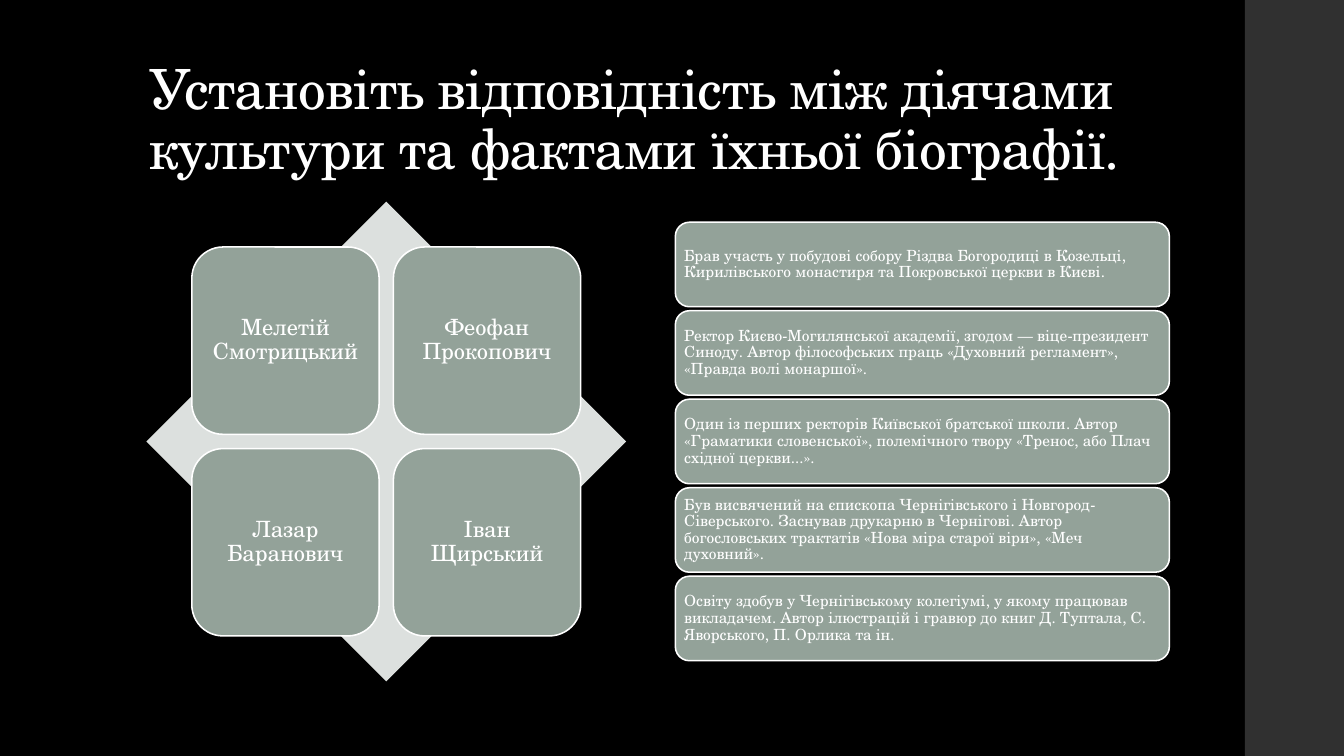
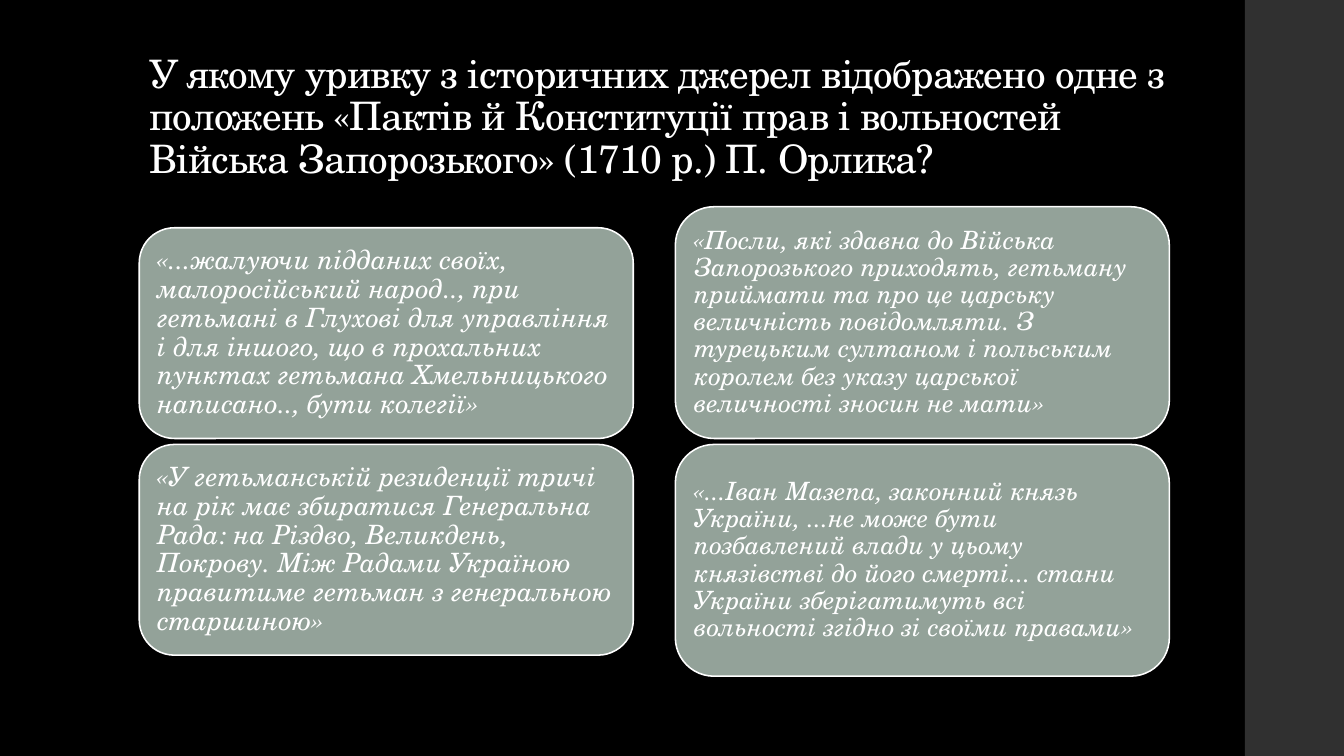
import pptx
import pptx.dml.color
import pptx.enum.shapes
import pptx.enum.text
import pptx.util
from collections import namedtuple

Cm = pptx.util.Cm
Pt = pptx.util.Pt
SHAPE = pptx.enum.shapes.MSO_SHAPE
ALIGN = pptx.enum.text.PP_ALIGN
ANCHOR = pptx.enum.text.MSO_ANCHOR
Box = namedtuple("Box", "left top width height")

FONT = "TeX Gyre Schola"
BLACK = "000000"
WHITE = "FFFFFF"
BAND = "303030"
CARD = "93A299"
DIAMOND = "DCE0DE"

SLIDE_WIDTH, SLIDE_HEIGHT = 33.87, 19.05
BAND_BOX = Box(31.37, 0, 2.5, SLIDE_HEIGHT)
TITLE_BOX = Box(3.51, 1.02, 26.92, 3.68)
LEFT_COLUMN = Box(3.51, 5.08, 12.45, 12.09)
RIGHT_COLUMN = LEFT_COLUMN._replace(left=17.02)

MATCH_TITLE = "Установіть відповідність між діячами культури та фактами їхньої біографії."
FIGURES = [
    "Мелетій Смотрицький",
    "Феофан Прокопович",
    "Лазар Баранович",
    "Іван Щирський",
]
FACTS = [
    "Брав участь у побудові собору Різдва Богородиці в Козельці, "
    "Кирилівського монастиря та Покровської церкви в Києві.",
    "Ректор Києво-Могилянської академії, згодом — віце-президент Синоду. "
    "Автор філософських праць «Духовний регламент», «Правда волі монаршої».",
    "Один із перших ректорів Київської братської школи. Автор «Граматики "
    "словенської», полемічного твору «Тренос, або Плач східної церкви...».",
    "Був висвячений на єпископа Чернігівського і Новгород-Сіверського. "
    "Заснував друкарню в Чернігові. Автор богословських трактатів "
    "«Нова міра старої віри», «Меч духовний».",
    "Освіту здобув у Чернігівському колегіумі, у якому працював викладачем. "
    "Автор ілюстрацій і гравюр до книг Д. Туптала, С. Яворського, П. Орлика та ін.",
]

QUOTE_TITLE = (
    "У якому уривку з історичних джерел відображено одне з положень "
    "«Пактів й Конституції прав і вольностей Війська Запорозького» (1710 р.) П. Орлика?"
)
LEFT_QUOTES = [
    "«...жалуючи підданих своїх, малоросійський народ.., при гетьмані в Глухові "
    "для управління і для іншого, що в прохальних пунктах гетьмана "
    "Хмельницького написано.., бути колегії»",
    "«У гетьманській резиденції тричі на рік має збиратися Генеральна Рада: "
    "на Різдво, Великдень, Покрову. Між Радами Україною правитиме гетьман "
    "з генеральною старшиною»",
]
RIGHT_QUOTES = [
    "«Посли, які здавна до Війська Запорозького приходять, гетьману приймати "
    "та про це царську величність повідомляти. З турецьким султаном і польським "
    "королем без указу царської величності зносин не мати»",
    "«...Іван Мазепа, законний князь України, ...не може бути позбавлений влади "
    "у цьому князівстві до його смерті... стани України зберігатимуть всі "
    "вольності згідно зі своїми правами»",
]


def color(value):
    return pptx.dml.color.RGBColor.from_string(value)


def lengths(box):
    return [Cm(value) for value in box]


def add_shape(slide, preset, box, fill):
    shape = slide.shapes.add_shape(preset, *lengths(box))
    shape.shadow.inherit = False
    shape.fill.solid()
    shape.fill.fore_color.rgb = color(fill)
    shape.line.fill.background()
    return shape


def write(shape, text, size, anchor, align=ALIGN.LEFT, italic=False):
    frame = shape.text_frame
    frame.word_wrap = True
    frame.vertical_anchor = anchor
    paragraph = frame.paragraphs[0]
    paragraph.text = text
    paragraph.alignment = align
    paragraph.line_spacing = 0.9
    paragraph.font.name = FONT
    paragraph.font.size = Pt(size)
    paragraph.font.italic = italic
    paragraph.font.color.rgb = color(WHITE)
    return paragraph


def add_card(slide, box, text, size, margin, align=ALIGN.LEFT, italic=False):
    card = add_shape(slide, SHAPE.ROUNDED_RECTANGLE, box, CARD)
    card.line.color.rgb = color(WHITE)
    card.line.width = Pt(1.1)
    frame = card.text_frame
    frame.margin_left = frame.margin_right = Cm(margin)
    frame.margin_top = frame.margin_bottom = Cm(margin)
    write(card, text, size, ANCHOR.MIDDLE, align, italic)


def add_stack(slide, box, texts, card_height, gap, size, margin, italic=False):
    pitch = card_height + gap
    top = box.top + (box.height - pitch * len(texts) + gap) / 2
    for index, text in enumerate(texts):
        card_box = Box(box.left, top + index * pitch, box.width, card_height)
        add_card(slide, card_box, text, size, margin, italic=italic)


def add_diamond_matrix(slide, box, texts, card_side=4.72, gap=0.36):
    side = box.height
    left = box.left + (box.width - side) / 2
    add_shape(slide, SHAPE.DIAMOND, Box(left, box.top, side, side), DIAMOND)
    inset = (side - 2 * card_side - gap) / 2
    for index, text in enumerate(texts):
        row, column = divmod(index, 2)
        card_box = Box(
            left + inset + column * (card_side + gap),
            box.top + inset + row * (card_side + gap),
            card_side,
            card_side,
        )
        add_card(slide, card_box, text, 16, 0.17, ALIGN.CENTER)


def add_slide(presentation, title, title_size):
    slide = presentation.slides.add_slide(presentation.slide_layouts[6])
    slide.background.fill.solid()
    slide.background.fill.fore_color.rgb = color(BLACK)
    add_shape(slide, SHAPE.RECTANGLE, BAND_BOX, BAND)
    title_shape = slide.shapes.add_textbox(*lengths(TITLE_BOX))
    paragraph = write(title_shape, title, title_size, ANCHOR.BOTTOM)
    paragraph._p.get_or_add_pPr().get_or_add_defRPr().set("spc", "-50")
    return slide


def build_match_slide(presentation):
    slide = add_slide(presentation, MATCH_TITLE, 39.6)
    add_diamond_matrix(slide, LEFT_COLUMN, FIGURES)
    add_stack(slide, RIGHT_COLUMN, FACTS, 2.13, 0.1, 11, 0.12)


def build_quote_slide(presentation):
    slide = add_slide(presentation, QUOTE_TITLE, 28)
    add_stack(slide, LEFT_COLUMN, LEFT_QUOTES, 5.31, 0.15, 19, 0.2, italic=True)
    add_stack(slide, RIGHT_COLUMN, RIGHT_QUOTES, 5.84, 0.15, 18, 0.19, italic=True)


def main():
    presentation = pptx.Presentation()
    presentation.slide_width = Cm(SLIDE_WIDTH)
    presentation.slide_height = Cm(SLIDE_HEIGHT)
    build_match_slide(presentation)
    build_quote_slide(presentation)
    presentation.save("out.pptx")


if __name__ == "__main__":
    main()
